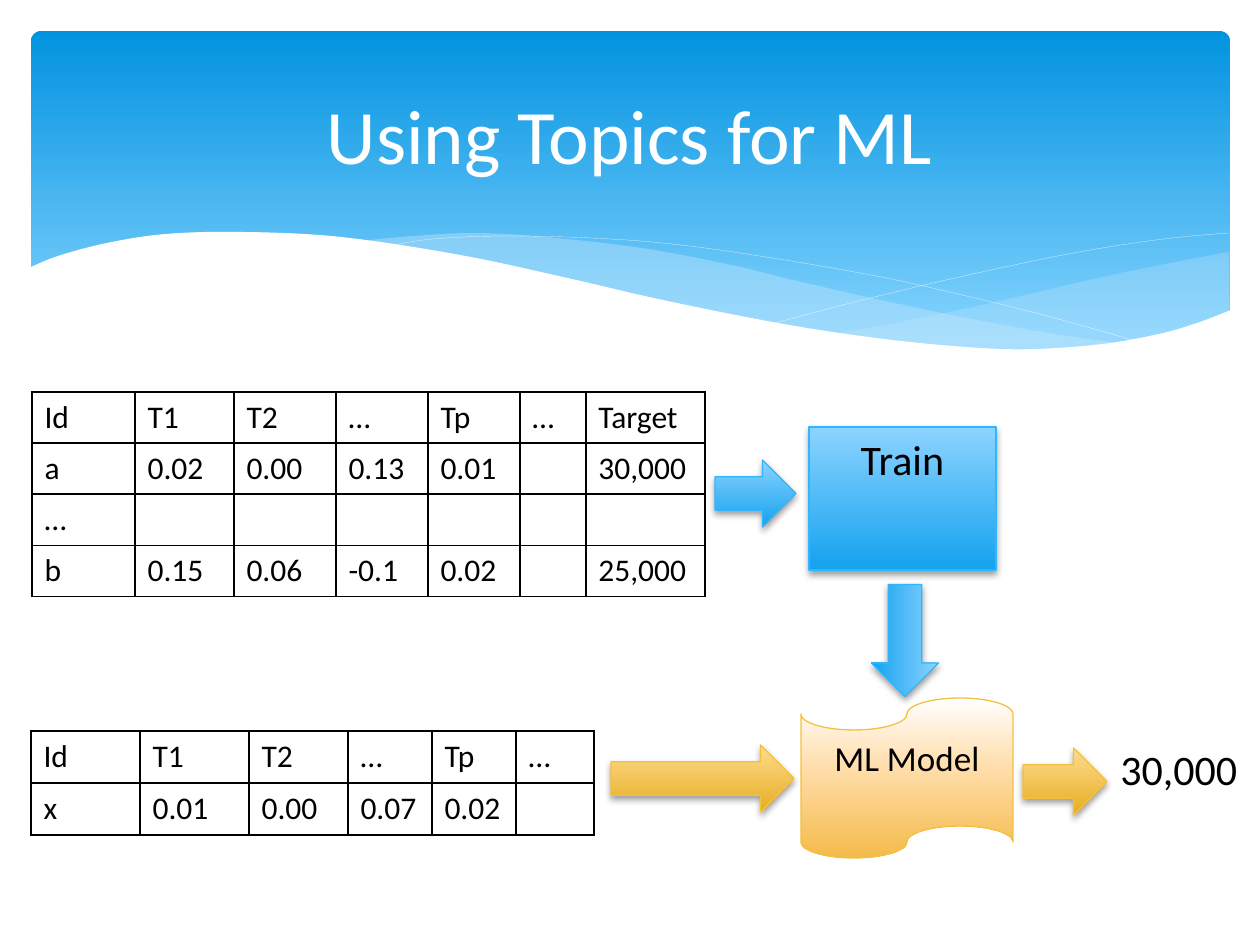
from lxml import etree
from pptx import Presentation
from pptx.dml.color import RGBColor
from pptx.enum.shapes import MSO_SHAPE
from pptx.enum.text import MSO_ANCHOR, PP_ALIGN
from pptx.oxml import parse_xml
from pptx.oxml.ns import nsdecls, qn
from pptx.util import Pt

SCALE = 914400 / 126
FONT = "Calibri"
TITLE_ONLY = 5
ARROW = MSO_SHAPE.RIGHT_ARROW
PROCESS = MSO_SHAPE.FLOWCHART_PROCESS
TAPE = MSO_SHAPE.FLOWCHART_PUNCHED_TAPE
ROUNDED = MSO_SHAPE.ROUNDED_RECTANGLE
TOP, MIDDLE = MSO_ANCHOR.TOP, MSO_ANCHOR.MIDDLE
LEFT, CENTER = PP_ALIGN.LEFT, PP_ALIGN.CENTER

HEADER_STOPS = [(0, "0293E0"), (90, "83D3FE")]
BLUE = {"stops": [(0, "8CD3FF"), (100, "14A2EF")], "edge": "31B6FD"}
GOLD = {"stops": [(0, "FFDB8E"), (100, "E6AD22")], "edge": "F5C040"}
CREAM = {"stops": [(0, "FFFFFF"), (44, "FFDDAA"), (100, "F4BB4A")], "edge": "F5C040"}

RIGHT_WAVE = [
    [(1229, 252), (1160, 265), (1085, 281), (982, 305), (890, 324), (833, 334)],
    [(833, 334), (888, 341), (954, 348), (1026, 350), (1099, 345), (1160, 334),
     (1196, 324), (1229, 311)],
]
MIDDLE_WAVE = [
    [(360, 241), (413, 236), (479, 233), (557, 238), (648, 249), (736, 266),
     (793, 280), (890, 302), (977, 320), (1055, 334), (1125, 344)],
    [(1125, 344), (1068, 349), (1003, 350), (927, 347), (838, 335), (736, 318),
     (619, 292), (566, 280), (509, 266), (431, 251), (360, 241)],
]
FALLING_CURVE = [(389, 246), (433, 239), (505, 236), (591, 238), (672, 244),
                 (766, 257), (876, 276), (958, 294), (1047, 316), (1143, 343)]
RISING_CURVE = [(772, 324), (847, 304), (942, 281), (1053, 257), (1128, 244),
                (1182, 237), (1229, 233)]
WHITE_WAVE = [
    [(29, 268), (58, 256), (107, 243), (166, 234), (243, 232), (341, 237),
     (460, 255), (563, 277), (667, 301), (789, 325), (892, 340), (980, 348),
     (1037, 349), (1103, 344), (1159, 334), (1197, 323), (1231, 310)],
    [(1231, 415), (29, 415)],
]

TRAINING_ROWS = [
    ["Id", "T1", "T2", "…", "Tp", "…", "Target"],
    ["a", "0.02", "0.00", "0.13", "0.01", "", "30,000"],
    ["…", "", "", "", "", "", ""],
    ["b", "0.15", "0.06", "-0.1", "0.02", "", "25,000"],
]
NEW_ROWS = [
    ["Id", "T1", "T2", "…", "Tp", "…"],
    ["x", "0.01", "0.00", "0.07", "0.02", ""],
]


def px(value):
    return round(value * SCALE)


def box(*lengths):
    return [px(length) for length in lengths]


def color(code):
    return RGBColor.from_string(code)


def apply(target, values):
    for name, value in values.items():
        setattr(target, name, value)


def write(frame, text, size, ink="000000", align=LEFT, anchor=TOP):
    apply(frame, {"text": text, "word_wrap": True, "vertical_anchor": anchor})
    paragraph = frame.paragraphs[0]
    paragraph.alignment = align
    apply(paragraph.font, {"size": Pt(size), "name": FONT, "bold": False})
    paragraph.font.color.rgb = color(ink)


def fill_gradient(shape, stops):
    shape.fill.gradient()
    shape.fill.gradient_angle = 270
    stop_list = shape._element.spPr.find(".//" + qn("a:gsLst"))
    for stop in list(stop_list):
        stop_list.remove(stop)
    for position, code in stops:
        stop = etree.SubElement(stop_list, qn("a:gs"), pos=str(position * 1000))
        etree.SubElement(stop, qn("a:srgbClr"), val=code)


def add_shadow(shape):
    effects = shape._element.spPr.find(qn("a:effectLst"))
    effects.append(parse_xml(
        f'<a:outerShdw {nsdecls("a")} blurRad="50800" dist="25400" dir="5400000" '
        'rotWithShape="0"><a:srgbClr val="000000"><a:alpha val="38000"/>'
        '</a:srgbClr></a:outerShdw>'))


def add_block(slide, kind, place, look, label="", size=24, rotation=0, shadow=True):
    block = slide.shapes.add_shape(kind, *box(*place))
    block.shadow.inherit = False
    block.rotation = rotation
    fill_gradient(block, look["stops"])
    block.line.color.rgb = color(look["edge"])
    block.line.width = Pt(0.75)
    if shadow:
        add_shadow(block)
    if label:
        write(block.text_frame, label, size, align=CENTER)


def smooth(knots, steps=6):
    if len(knots) < 3:
        return knots
    padded = [knots[0], *knots, knots[-1]]
    points = [knots[0]]
    for a, b, c, d in zip(padded, padded[1:], padded[2:], padded[3:]):
        for step in range(1, steps + 1):
            t = step / steps
            points.append(tuple(
                (2 * q + (r - p) * t + (2 * p - 5 * q + 4 * r - s) * t**2
                 + (3 * q - p - 3 * r + s) * t**3) / 2
                for p, q, r, s in zip(a, b, c, d)))
    return points


def add_curve(slide, edges, closed):
    points = [box(*point) for edge in edges for point in smooth(edge)]
    builder = slide.shapes.build_freeform(*points[0], scale=1.0)
    builder.add_line_segments(points[1:], close=closed)
    curve = builder.convert_to_shape()
    curve.shadow.inherit = False
    return curve


def add_wave(slide, edges, code, opacity=100):
    wave = add_curve(slide, edges, True)
    wave.fill.solid()
    wave.fill.fore_color.rgb = color(code)
    wave.line.fill.background()
    tint = wave._element.spPr.find(qn("a:solidFill"))[0]
    etree.SubElement(tint, qn("a:alpha"), val=str(opacity * 1000))


def add_hairline(slide, knots):
    hairline = add_curve(slide, [knots], False)
    hairline.fill.background()
    hairline.line.color.rgb = color("FFFFFF")
    hairline.line.width = Pt(0.1)


def add_header(slide):
    banner = slide.shapes.add_shape(ROUNDED, *box(31, 31, 1199, 340))
    banner.adjustments[0] = 0.03
    banner.shadow.inherit = False
    banner.line.fill.background()
    fill_gradient(banner, HEADER_STOPS)
    add_wave(slide, RIGHT_WAVE, "C6E7FC", 29)
    add_wave(slide, MIDDLE_WAVE, "C6E7FC", 40)
    for knots in (FALLING_CURVE, RISING_CURVE):
        add_hairline(slide, knots)
    add_wave(slide, WHITE_WAVE, "FFFFFF")


def add_title(slide, text):
    title = slide.shapes.title
    slide.shapes._spTree.append(title._element)
    apply(title, dict(zip(("left", "top", "width", "height"), box(63, 47, 1134, 173))))
    write(title.text_frame, text, 44, "FFFFFF", CENTER, MIDDLE)


def add_borders(cell):
    properties = cell._tc.get_or_add_tcPr()
    for index, side in enumerate("LRTB"):
        properties.insert(index, parse_xml(
            f'<a:ln{side} {nsdecls("a")} w="12700"><a:solidFill>'
            f'<a:srgbClr val="000000"/></a:solidFill></a:ln{side}>'))


def add_grid(slide, left, top, widths, row_height, rows):
    place = box(left, top, sum(widths), row_height * len(rows))
    grid = slide.shapes.add_table(len(rows), len(widths), *place).table
    apply(grid, {"first_row": False, "horz_banding": False})
    for column, width in zip(grid.columns, widths):
        column.width = px(width)
    for cell, text in zip(grid.iter_cells(), sum(rows, [])):
        cell.fill.background()
        add_borders(cell)
        write(cell.text_frame, text, 18)


def main():
    deck = Presentation()
    apply(deck, {"slide_width": px(1260), "slide_height": px(945)})
    slide = deck.slides.add_slide(deck.slide_layouts[TITLE_ONLY])
    add_header(slide)
    add_title(slide, "Using Topics for ML")
    add_grid(slide, 32, 392, [103, 99, 102, 92, 92, 66, 119], 51, TRAINING_ROWS)
    add_block(slide, PROCESS, (809, 427, 187, 143), BLUE, "Train")
    add_block(slide, ARROW, (715, 460, 81, 67), BLUE)
    add_block(slide, ARROW, (611, 745, 183, 67), GOLD)
    add_grid(slide, 31, 731, [109, 109, 99, 84, 84, 78], 52, NEW_ROWS)
    add_block(slide, TAPE, (801, 698, 212, 160), CREAM, "ML Model", 20, shadow=False)
    add_block(slide, ARROW, (849, 607, 112, 67), BLUE, rotation=90)
    add_block(slide, ARROW, (1023, 748, 84, 67), GOLD)
    prediction = slide.shapes.add_textbox(*box(1108, 737, 202, 63))
    write(prediction.text_frame, "30,000", 24)
    deck.save("out.pptx")


if __name__ == "__main__":
    main()
